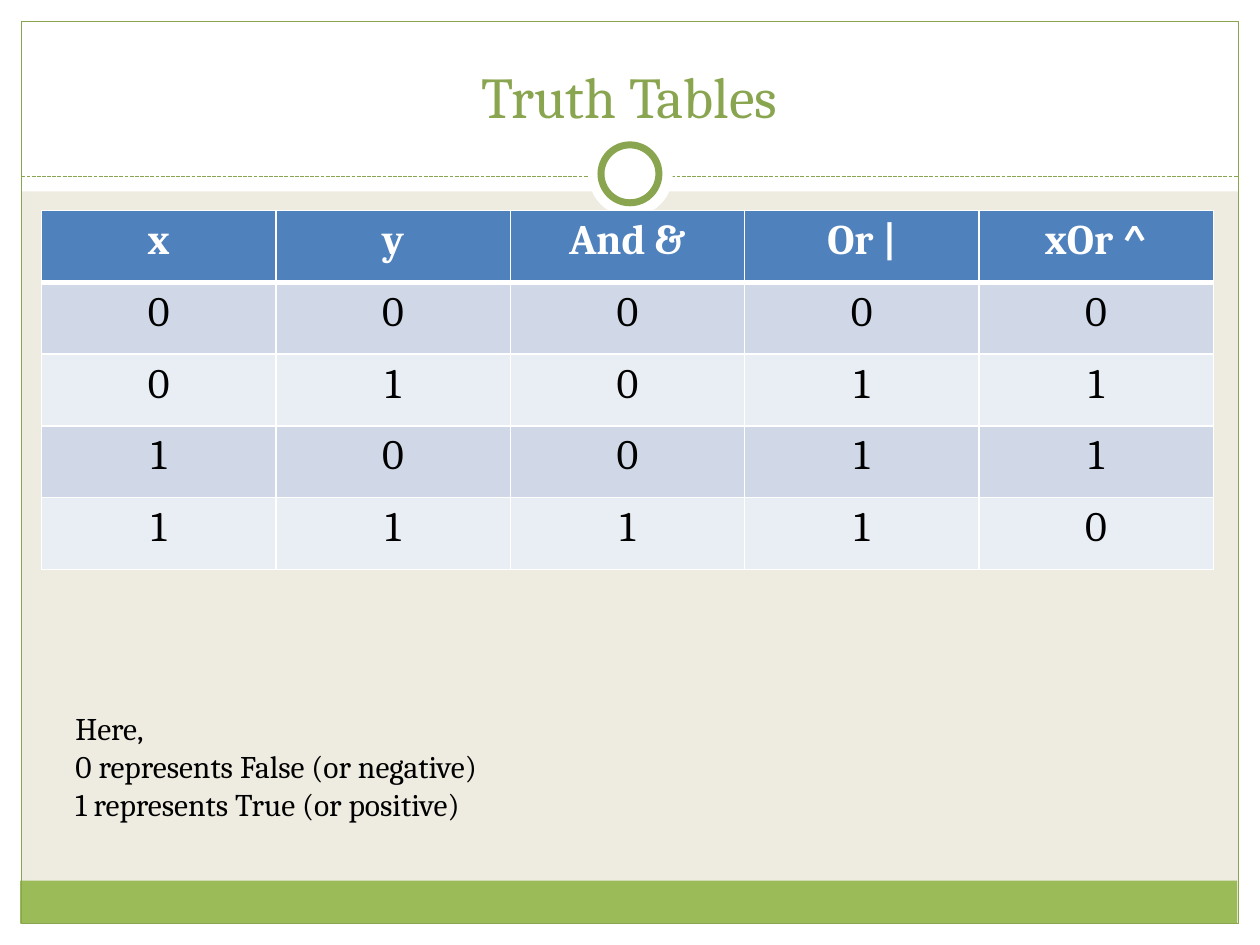
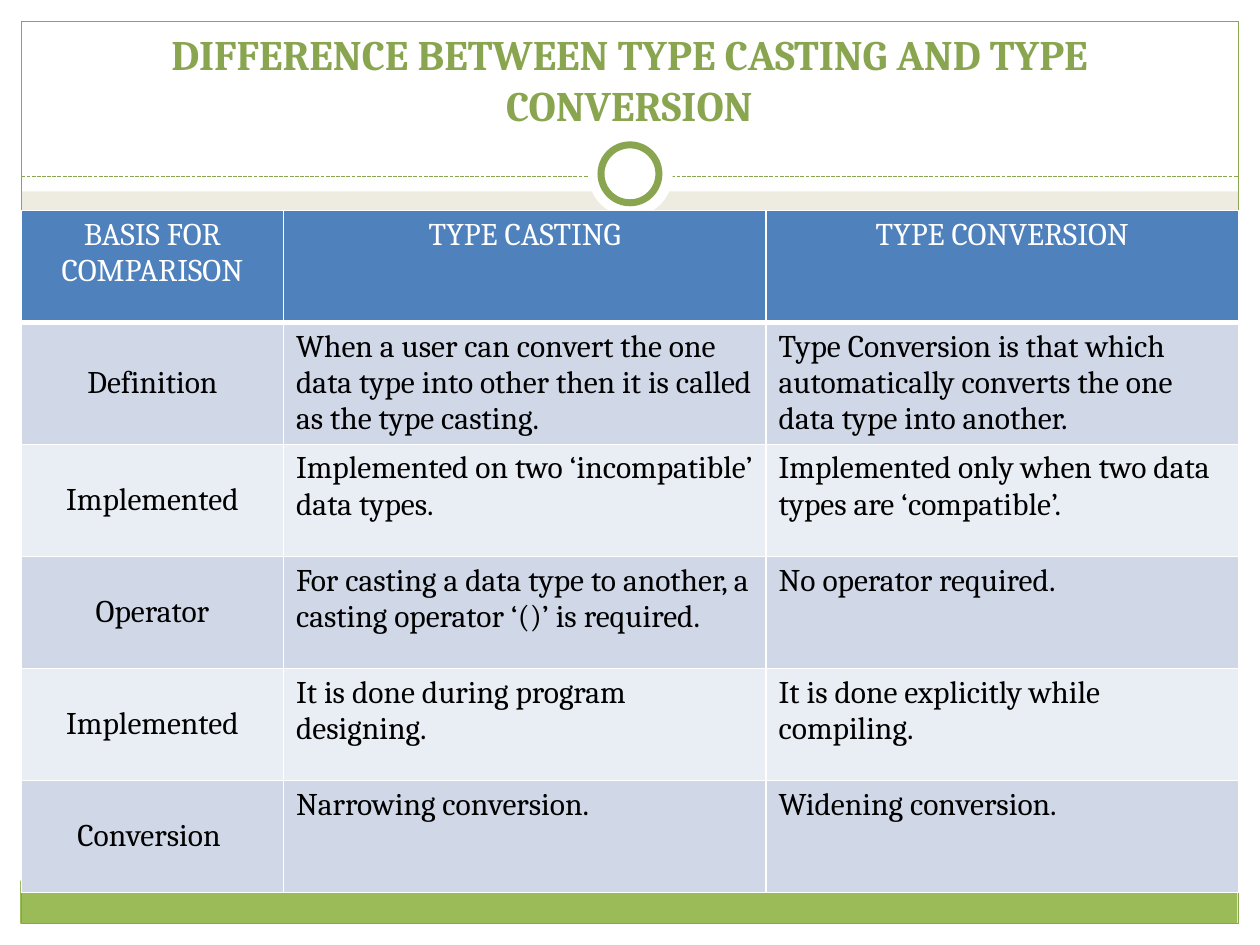
"""Build two slides on truth tables and type conversion."""
from lxml.etree import SubElement
from pptx import Presentation
from pptx.dml.color import RGBColor
from pptx.enum.dml import MSO_LINE
from pptx.enum.shapes import MSO_CONNECTOR, MSO_SHAPE
from pptx.enum.text import MSO_ANCHOR, MSO_AUTO_SIZE, PP_ALIGN
from pptx.oxml.ns import qn
from pptx.util import Inches, Pt

WHITE, BLACK = "FFFFFF", "000000"
GREEN, BAND = "89A54F", "9BBB59"
PAPER, HEADER = "EEECE1", "4F81BD"
STRIPES = ("E9EDF4", "D0D8E8")


def rgb(value):
    return RGBColor.from_string(value)


class Deck:
    font = "Cambria"

    def __init__(self):
        self.prs = Presentation()
        self.prs.slide_width, self.prs.slide_height = Inches(10), Inches(7.5)
        self.layout = self.prs.slide_layouts[5]
        for ph in list(self.layout.placeholders):
            if ph.placeholder_format.idx:
                ph.element.getparent().remove(ph.element)
        fill = self.layout.background.fill
        fill.solid()
        fill.fore_color.rgb = rgb(PAPER)
        self.s = None

    def slide(self, title, size, bold=False):
        self.s = self.prs.slides.add_slide(self.layout)
        if len(self.prs.slides) == 1:
            self.frame()
        sp = self.s.shapes.title
        sp.left, sp.top, sp.width, sp.height = map(Inches, (0.33, 0.25, 9.33, 0.83))
        tf = sp.text_frame
        tf.auto_size, tf.vertical_anchor = MSO_AUTO_SIZE.NONE, MSO_ANCHOR.BOTTOM
        self.put_text(tf, title, PP_ALIGN.CENTER, size=Pt(size), bold=bold, color=GREEN)

    def frame(self):
        edges = ((0, 7.33, 10, 0.17), (0, 0, 10, 1.52), (0, 0, 0.17, 7.5), (9.83, 0, 0.17, 7.5))
        parts = [self.shape(at, WHITE) for at in edges]
        parts += [
            self.shape((0.16, 6.99, 9.66, 0.34), BAND),
            self.shape((0.17, 0.17, 9.66, 7.16), line=GREEN, width=0.75),
            self.rule(0.17, 9.83, 1.4),
            self.shape((4.67, 1.05, 0.67, 0.67), WHITE, kind=MSO_SHAPE.OVAL),
            self.shape((4.77, 1.15, 0.46, 0.46), WHITE, GREEN, 4, MSO_SHAPE.OVAL),
        ]
        for sp in parts:
            self.layout.shapes.element.append(sp.element)

    def shape(self, at, fill=None, line=None, width=1, kind=MSO_SHAPE.RECTANGLE):
        sp = self.s.shapes.add_shape(kind, *map(Inches, at))
        sp.shadow.inherit = False
        for target, color in ((sp.fill, fill), (sp.line.fill, line)):
            if color:
                target.solid()
                target.fore_color.rgb = rgb(color)
            else:
                target.background()
        if line:
            sp.line.width = Pt(width)
        return sp

    def rule(self, left, right, y):
        sp = self.s.shapes.add_connector(
            MSO_CONNECTOR.STRAIGHT, Inches(left), Inches(y), Inches(right), Inches(y))
        sp.line.color.rgb = rgb(GREEN)
        sp.line.width, sp.line.dash_style = Pt(0.75), MSO_LINE.SQUARE_DOT
        SubElement(sp.element.spPr, qn("a:effectLst"))
        return sp

    def put_text(self, tf, text, align=PP_ALIGN.LEFT, color=BLACK, **style):
        for i, line in enumerate(text.split("\n")):
            p = tf.paragraphs[0] if i == 0 else tf.add_paragraph()
            p.alignment = align
            r = p.add_run()
            r.text = line
            for name, value in {"name": self.font, **style}.items():
                setattr(r.font, name, value)
            r.font.color.rgb = rgb(color)

    def text(self, at, text, size):
        tf = self.s.shapes.add_textbox(*map(Inches, at)).text_frame
        tf.word_wrap = True
        self.put_text(tf, text, size=Pt(size))

    def borders(self, cell, row):
        tc_pr = cell._tc.get_or_add_tcPr()
        widths = {"L": 1, "R": 1, "T": 3 if row == 1 else 1, "B": 1 if row else 3}
        for side, width in widths.items():
            ln = SubElement(tc_pr, qn(f"a:ln{side}"), w=str(Pt(width)))
            SubElement(SubElement(ln, qn("a:solidFill")), qn("a:srgbClr"), val=WHITE)

    def table(self, left, top, widths, height, rows, size, bold_header=False, prose=False):
        tbl = self.s.shapes.add_table(
            len(rows), len(widths), Inches(left), Inches(top),
            Inches(sum(widths)), Inches(height * len(rows))).table
        for col, width in zip(tbl.columns, widths):
            col.width = Inches(width)
        for i, row in enumerate(rows):
            tbl.rows[i].height = Inches(height)
            for j, text in enumerate(row):
                cell = tbl.cell(i, j)
                self.borders(cell, i)
                cell.fill.solid()
                cell.fill.fore_color.rgb = rgb(STRIPES[i % 2] if i else HEADER)
                if prose and i and j == 0:
                    cell.vertical_anchor = MSO_ANCHOR.MIDDLE
                align = PP_ALIGN.LEFT if prose and i and j else PP_ALIGN.CENTER
                self.put_text(cell.text_frame, text, align, BLACK if i else WHITE,
                              size=Pt(size), bold=bold_header and i == 0)


def main():
    deck = Deck()

    deck.slide("Truth Tables", 33)
    truth = [("x", "y", "And &", "Or |", "xOr ^")]
    for x in (0, 1):
        for y in (0, 1):
            truth.append([str(v) for v in (x, y, x & y, x | y, x ^ y)])
    deck.table(0.33, 1.67, [1.86] * 5, 0.57, truth, 24, bold_header=True)
    deck.text((0.5, 5.58, 4.75, 1.01),
              "Here,\n0 represents False (or negative)\n1 represents True (or positive)", 18)

    deck.slide("DIFFERENCE BETWEEN TYPE CASTING AND TYPE CONVERSION", 24, bold=True)
    comparison = [
        ("BASIS FOR COMPARISON", "TYPE CASTING", "TYPE CONVERSION"),
        ("Definition",
         "When a user can convert the one data type into other then it is called as the type casting.",
         "Type Conversion is that which automatically converts the one data type into another."),
        ("Implemented",
         "Implemented on two ‘incompatible’ data types.",
         "Implemented only when two data types are ‘compatible’."),
        ("Operator",
         "For casting a data type to another, a casting operator ‘()’ is required.",
         "No operator required."),
        ("Implemented",
         "It is done during program designing.",
         "It is done explicitly while compiling."),
        ("Conversion ", "Narrowing conversion.", "Widening conversion."),
    ]
    deck.table(0.17, 1.67, (2.08, 3.83, 3.75), 0.89, comparison, 18, prose=True)

    deck.prs.save("out.pptx")


if __name__ == "__main__":
    main()
